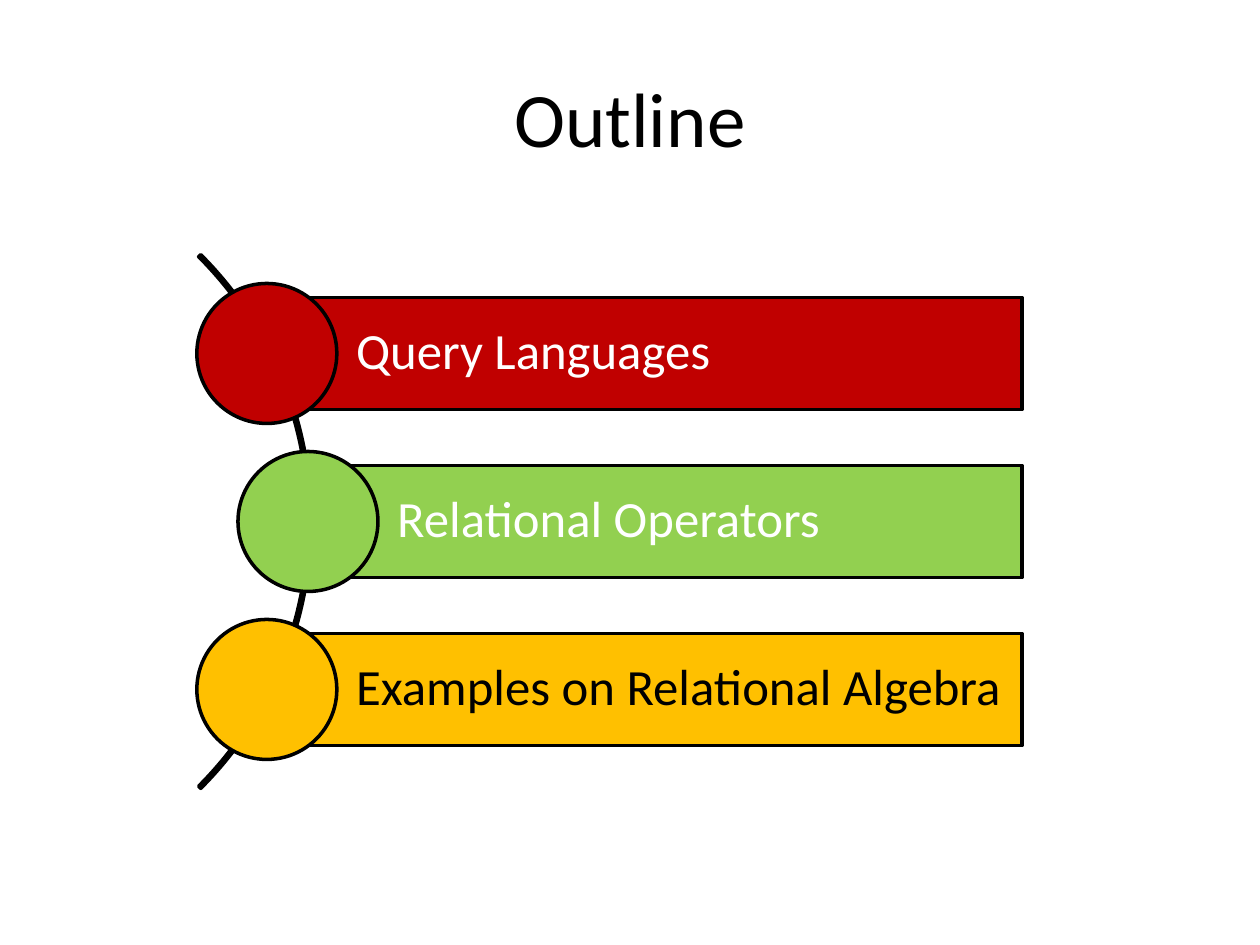
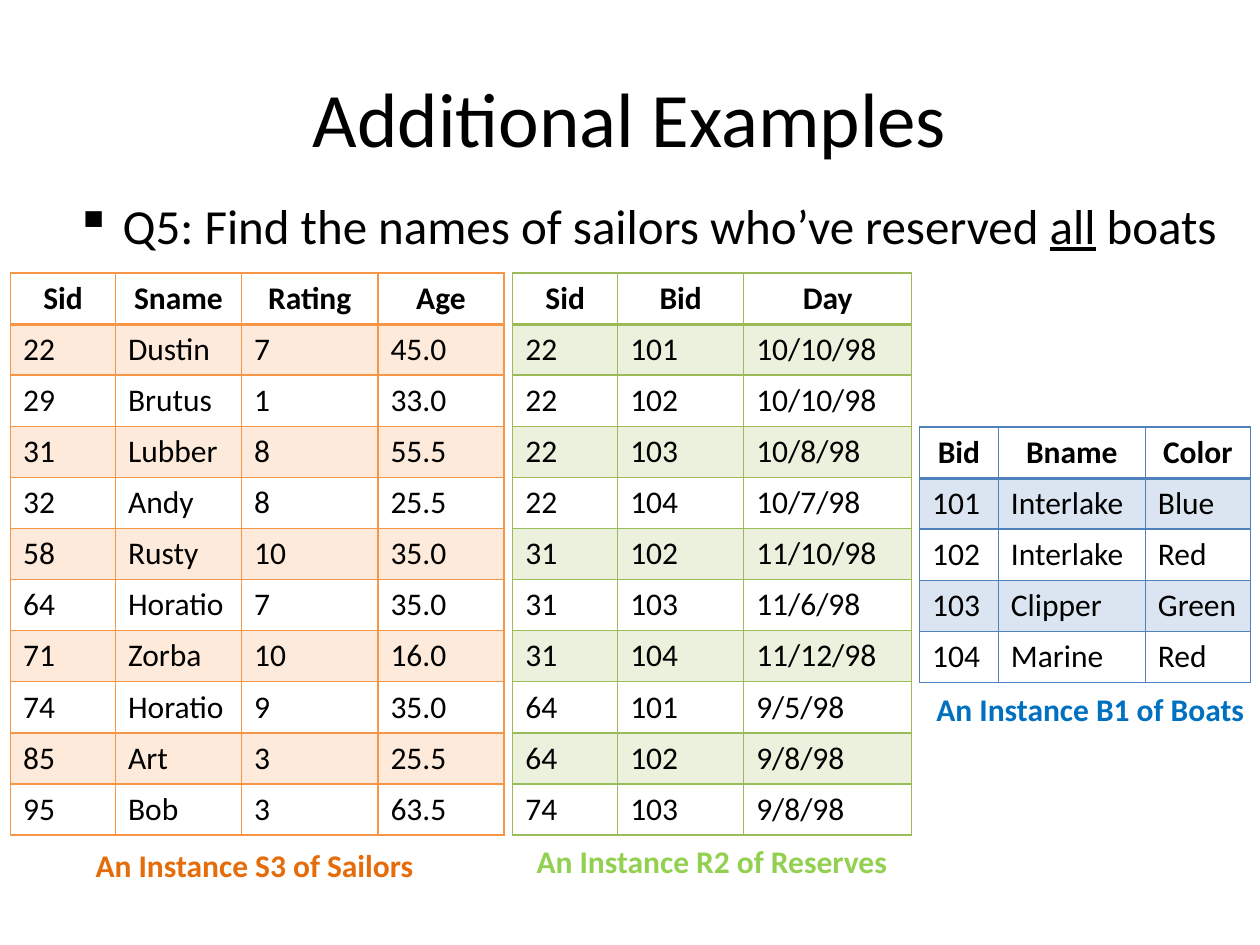
from dataclasses import dataclass

from lxml import etree
from pptx import Presentation
from pptx.dml.color import RGBColor
from pptx.enum.shapes import MSO_SHAPE
from pptx.enum.text import MSO_ANCHOR, MSO_AUTO_SIZE, PP_ALIGN
from pptx.oxml.ns import qn
from pptx.util import Pt

RECTANGLE, OVAL, BLOCK_ARC = MSO_SHAPE.RECTANGLE, MSO_SHAPE.OVAL, MSO_SHAPE.BLOCK_ARC
MIDDLE = MSO_ANCHOR.MIDDLE
CENTER, LEFT = PP_ALIGN.CENTER, PP_ALIGN.LEFT
GROW = MSO_AUTO_SIZE.SHAPE_TO_FIT_TEXT


@dataclass(frozen=True)
class Theme:
    font: str = "Calibri"
    black: str = "000000"
    white: str = "FFFFFF"
    red: str = "C00000"
    lime: str = "92D050"
    gold: str = "FFC000"
    table_orange: str = "F79646"
    table_green: str = "9BBB59"
    table_blue: str = "4F81BD"
    caption_orange: str = "E46C0A"
    caption_blue: str = "0070C0"
    title_size: int = 44
    outline_size: int = 29
    body_size: int = 28
    table_size: int = 18
    band_alpha: str = "20000"


theme = Theme()


def add_span(para, text, size, color=theme.black, bold=False, underline=False):
    span = para.add_run()
    span.text = text
    span.font.name = theme.font
    span.font.size = Pt(size)
    span.font.bold = bold
    span.font.underline = underline
    span.font.color.rgb = RGBColor.from_string(color)


def style_cell(cell, color, banded, widths):
    properties = cell._tc.get_or_add_tcPr()
    if banded:
        cell.fill.solid()
        cell.fill.fore_color.rgb = RGBColor.from_string(color)
        tint = properties.find(".//" + qn("a:srgbClr"))
        etree.SubElement(tint, qn("a:alpha"), val=theme.band_alpha)
    else:
        cell.fill.background()
    for position, (side, width) in enumerate(zip("LRTB", widths)):
        line = etree.Element(qn(f"a:ln{side}"), w=str(Pt(width)))
        paint = etree.SubElement(line, qn("a:solidFill"))
        etree.SubElement(paint, qn("a:srgbClr"), val=color)
        properties.insert(position, line)


deck = Presentation()
deck.slide_width, deck.slide_height = Pt(720), Pt(540)
pages = []
for title in ("Outline", "Additional Examples"):
    page = deck.slides.add_slide(deck.slide_layouts[6])
    box = page.shapes.add_textbox(Pt(36), Pt(21.6), Pt(648), Pt(90))
    box.text_frame.word_wrap = True
    box.text_frame.vertical_anchor = MIDDLE
    para = box.text_frame.paragraphs[0]
    para.alignment = CENTER
    add_span(para, title, theme.title_size)
    pages.append(page)
outline_page, examples_page = pages

middle_y, pitch = 298, 96
arc_size, bar_height, circle_size, bar_right = 431.3, 64, 80, 584
arc = outline_page.shapes.add_shape(
    BLOCK_ARC, Pt(-253.4), Pt(middle_y - arc_size / 2), Pt(arc_size), Pt(arc_size))
arc.adjustments[0], arc.adjustments[1], arc.adjustments[2] = 189, 27, 0.004
arc.fill.background()
outlined = [arc]

topics = [
    ("Query Languages", 152.5, theme.red, theme.white),
    ("Relational Operators", 176, theme.lime, theme.white),
    ("Examples on Relational Algebra", 152.5, theme.gold, theme.black),
]
for index, (topic, left, color, text_color) in enumerate(topics):
    center_y = middle_y + (index - 1) * pitch
    bar = outline_page.shapes.add_shape(
        RECTANGLE, Pt(left), Pt(center_y - bar_height / 2), Pt(bar_right - left), Pt(bar_height))
    circle = outline_page.shapes.add_shape(
        OVAL, Pt(left - circle_size / 2), Pt(center_y - circle_size / 2),
        Pt(circle_size), Pt(circle_size))
    for shape in (bar, circle):
        shape.fill.solid()
        shape.fill.fore_color.rgb = RGBColor.from_string(color)
        outlined.append(shape)
    frame = bar.text_frame
    frame.word_wrap = True
    frame.vertical_anchor = MIDDLE
    frame.margin_left = Pt(51)
    frame.margin_right = frame.margin_top = frame.margin_bottom = Pt(5.8)
    para = frame.paragraphs[0]
    para.alignment = LEFT
    para.line_spacing = 0.9
    add_span(para, topic, theme.outline_size, text_color)

for shape in outlined:
    shape.shadow.inherit = False
    shape.line.color.rgb = RGBColor.from_string(theme.black)
    shape.line.width = Pt(2)

question = examples_page.shapes.add_textbox(Pt(36), Pt(108), Pt(674), Pt(432))
question.text_frame.word_wrap = True
para = question.text_frame.paragraphs[0]
para.space_before = Pt(5.6)
bullet = para._p.get_or_add_pPr()
bullet.set("marL", str(Pt(27)))
bullet.set("indent", str(Pt(-27)))
etree.SubElement(bullet, qn("a:buChar"), char="▪")
add_span(para, "Q5: Find the names of sailors who’ve reserved ", theme.body_size)
add_span(para, "all", theme.body_size, underline=True)
add_span(para, " boats", theme.body_size)

sailors = [
    ("Sid", "Sname", "Rating", "Age"),
    ("22", "Dustin", "7", "45.0"),
    ("29", "Brutus", "1", "33.0"),
    ("31", "Lubber", "8", "55.5"),
    ("32", "Andy", "8", "25.5"),
    ("58", "Rusty", "10", "35.0"),
    ("64", "Horatio", "7", "35.0"),
    ("71", "Zorba", "10", "16.0"),
    ("74", "Horatio", "9", "35.0"),
    ("85", "Art", "3", "25.5"),
    ("95", "Bob", "3", "63.5"),
]
reserves = [
    ("Sid", "Bid", "Day"),
    ("22", "101", "10/10/98"),
    ("22", "102", "10/10/98"),
    ("22", "103", "10/8/98"),
    ("22", "104", "10/7/98"),
    ("31", "102", "11/10/98"),
    ("31", "103", "11/6/98"),
    ("31", "104", "11/12/98"),
    ("64", "101", "9/5/98"),
    ("64", "102", "9/8/98"),
    ("74", "103", "9/8/98"),
]
boats = [
    ("Bid", "Bname", "Color"),
    ("101", "Interlake", "Blue"),
    ("102", "Interlake", "Red"),
    ("103", "Clipper", "Green"),
    ("104", "Marine", "Red"),
]
row_height = 29.2
instances = [
    (sailors, 6, 156, (60, 72, 78, 72), theme.table_orange,
     "An Instance S3 of Sailors", 47.5, 480, 198, theme.caption_orange),
    (reserves, 293, 156, (60, 72, 96), theme.table_green,
     "An Instance R2 of Reserves", 299.5, 477.5, 217, theme.lime),
    (boats, 525.5, 244, (45, 84, 60), theme.table_blue,
     "An Instance B1 of Boats", 528, 390.5, 192, theme.caption_blue),
]
for (records, left, top, column_widths, color,
     caption, caption_left, caption_top, caption_width, caption_color) in instances:
    table = examples_page.shapes.add_table(
        len(records), len(column_widths), Pt(left), Pt(top),
        Pt(sum(column_widths)), Pt(row_height * len(records))).table
    table.first_row = table.horz_banding = False
    for column, width in zip(table.columns, column_widths):
        column.width = Pt(width)
    for row_index, record in enumerate(records):
        table.rows[row_index].height = Pt(row_height)
        is_header = row_index == 0
        edge_widths = (1, 1, 2 if row_index == 1 else 1, 2 if is_header else 1)
        for column_index, value in enumerate(record):
            cell = table.cell(row_index, column_index)
            style_cell(cell, color, row_index % 2 == 1, edge_widths)
            para = cell.text_frame.paragraphs[0]
            para.alignment = CENTER if is_header else LEFT
            add_span(para, value, theme.table_size, bold=is_header)
    box = examples_page.shapes.add_textbox(
        Pt(caption_left), Pt(caption_top), Pt(caption_width), Pt(29))
    box.text_frame.word_wrap = False
    box.text_frame.auto_size = GROW
    add_span(box.text_frame.paragraphs[0], caption, theme.table_size, caption_color, bold=True)

deck.save("out.pptx")
